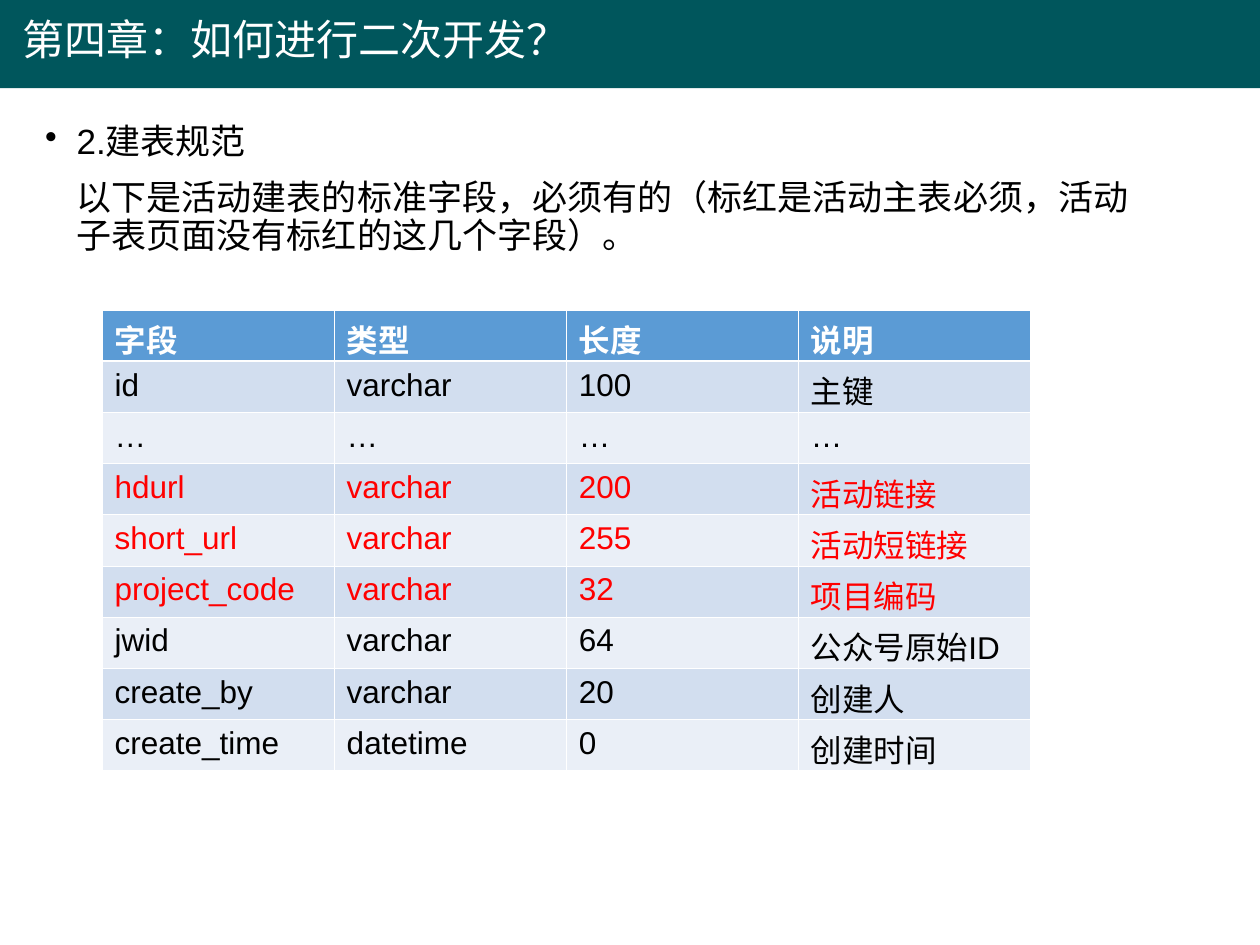
from lxml import etree
from pptx import Presentation
from pptx import util as u
from pptx.dml.color import RGBColor
from pptx.enum import shapes
from pptx.oxml import ns

TITLE = "第四章：如何进行二次开发？"
HEAD = "2.建表规范"
BODY = "以下是活动建表的标准字段，必须有的（标红是活动主表必须，活动子表页面没有标红的这几个字段）。"
ROWS = [
    ("字段", "类型", "长度", "说明"),
    ("id", "varchar", "100", "主键"),
    ("…", "…", "…", "…"),
    ("hdurl", "varchar", "200", "活动链接"),
    ("short_url", "varchar", "255", "活动短链接"),
    ("project_code", "varchar", "32", "项目编码"),
    ("jwid", "varchar", "64", "公众号原始ID"),
    ("create_by", "varchar", "20", "创建人"),
    ("create_time", "datetime", "0", "创建时间"),
]
MAIN = {"hdurl", "short_url", "project_code"}
BLACK, WHITE, RED, TEAL = "000000", "FFFFFF", "FF0000", "00565C"
BLUE, BANDS = "5B9BD5", ("EAEFF7", "D2DEEF")


def paint(item, tone):
    item.solid()
    item.fore_color.rgb = RGBColor.from_string(tone)


def style(para, size, face, tone, bold=False):
    font = para.font
    font.size, font.name, font.bold = u.Pt(size), face, bold
    paint(font.fill, tone)


def add_box(slide, *area):
    frame = slide.shapes.add_textbox(*map(u.Inches, area)).text_frame
    frame.word_wrap = True
    return frame


def indent(para, hang, mark=None):
    props = para._p.get_or_add_pPr()
    props.set("marL", str(u.Inches(0.25)))
    props.set("indent", str(-u.Inches(hang)))
    if mark:
        etree.SubElement(props, ns.qn("a:buChar"), char=mark)
    else:
        etree.SubElement(props, ns.qn("a:buNone"))


def edge(cell, sides):
    props = cell._tc.get_or_add_tcPr()
    for i, (side, width) in enumerate(sides.items()):
        line = etree.Element(ns.qn("a:ln" + side), w=str(u.Pt(width)))
        fill = etree.SubElement(line, ns.qn("a:solidFill"))
        etree.SubElement(fill, ns.qn("a:srgbClr"), val=WHITE)
        props.insert(i, line)


def add_grid(slide):
    area = map(u.Inches, (0.81, 2.46, 7.37, 3.66))
    grid = slide.shapes.add_table(len(ROWS), len(ROWS[0]), *area).table
    for r, row in enumerate(ROWS):
        tone = WHITE if r == 0 else RED if row[0] in MAIN else BLACK
        for c, word in enumerate(row):
            cell = grid.cell(r, c)
            cell.text = word
            style(cell.text_frame.paragraphs[0], 18, "Arial", tone, r == 0)
            paint(cell.fill, BANDS[r % 2] if r else BLUE)
            edge(cell, {"L": 0.45, "R": 0.45,
                        "T": 1.47 if r == 1 else 0.45,
                        "B": 1.47 if r == 0 else 0.45})


def main():
    deck = Presentation()
    deck.slide_width, deck.slide_height = u.Inches(10), u.Inches(7.5)
    slide = deck.slides.add_slide(deck.slide_layouts[6])

    area = map(u.Inches, (-0.02, -0.04, 10.02, 0.74))
    bar = slide.shapes.add_shape(shapes.MSO_SHAPE.RECTANGLE, *area)
    bar.shadow.inherit = False
    paint(bar.fill, TEAL)
    bar.line.fill.background()

    title = add_box(slide, 0.08, 0.06, 7.33, 0.5).paragraphs[0]
    title.text = TITLE
    style(title, 24, "Calibri", WHITE)

    frame = add_box(slide, 0.26, 0.94, 9, 6.35)
    head, body = frame.paragraphs[0], frame.add_paragraph()
    head.text, body.text = HEAD, BODY
    indent(head, 0.25, "•")
    indent(body, 0)
    body.space_before = u.Pt(10)
    for para in (head, body):
        para.line_spacing = 0.9
        style(para, 20, "Arial", BLACK)

    add_grid(slide)
    deck.save("out.pptx")


if __name__ == "__main__":
    main()
